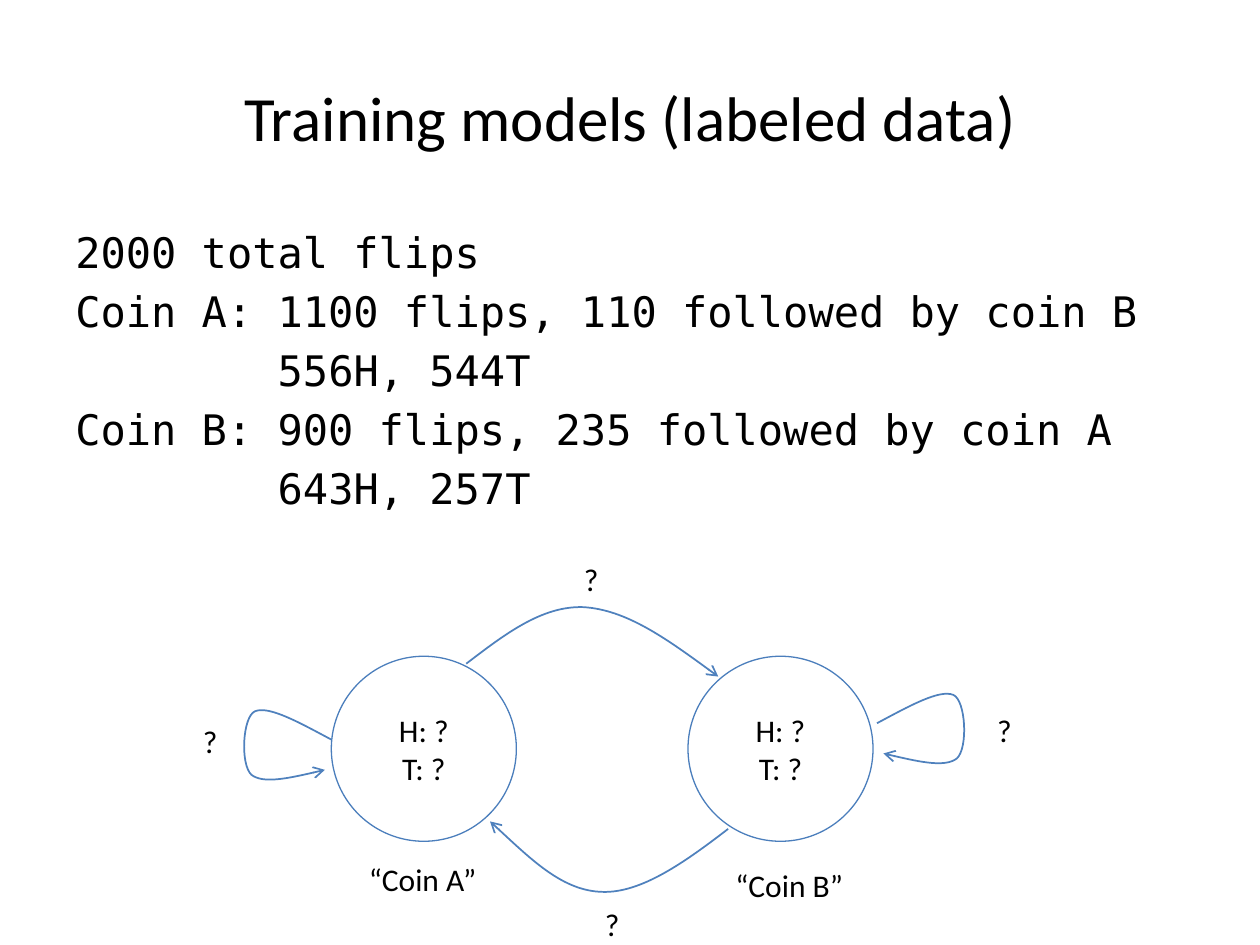
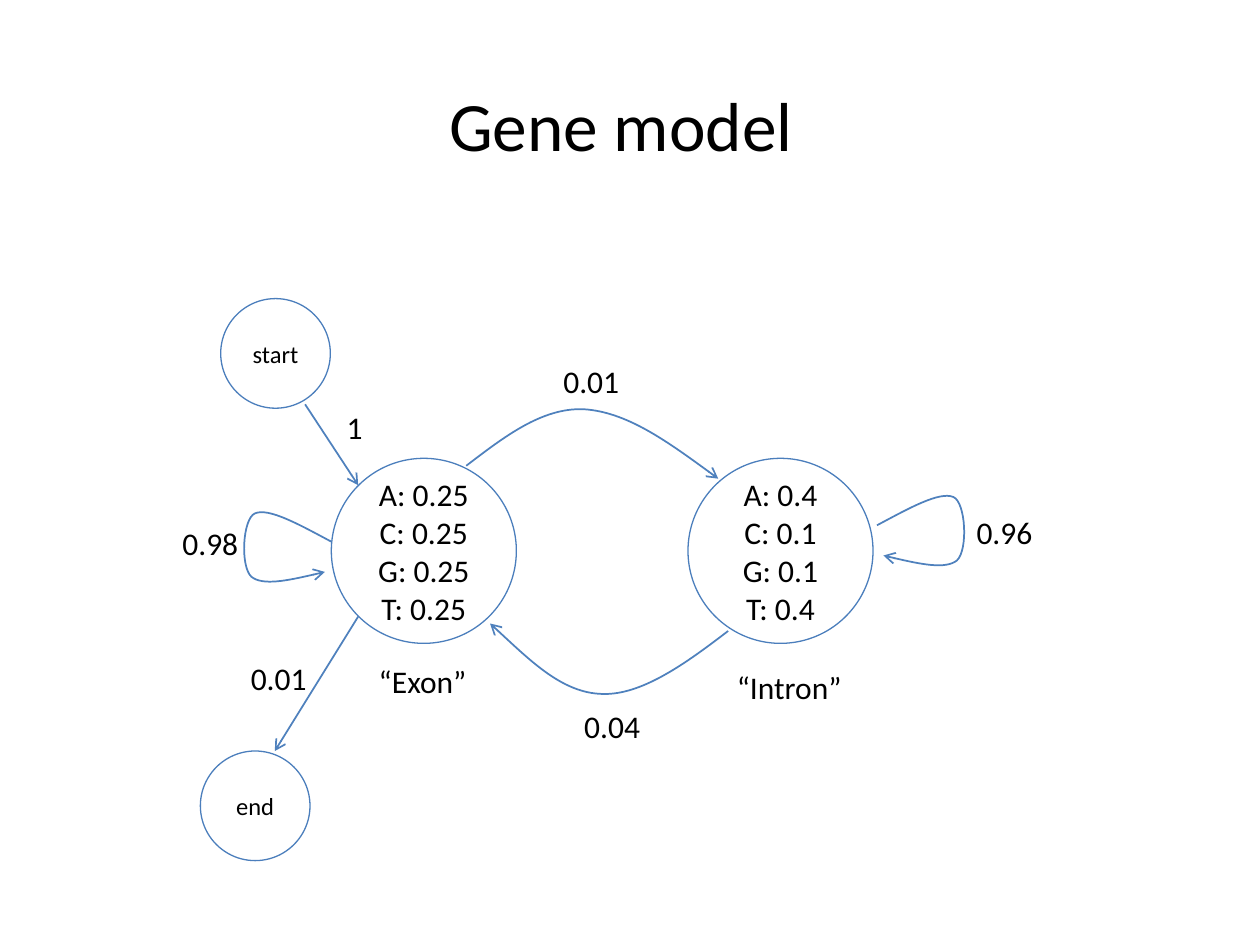
import dataclasses

import lxml.etree
import pptx
import pptx.dml.color
import pptx.enum.shapes
import pptx.enum.text
import pptx.oxml.ns
import pptx.util

Cm = pptx.util.Cm
Pt = pptx.util.Pt
qn = pptx.oxml.ns.qn
ANCHOR = pptx.enum.text.MSO_ANCHOR
ALIGN = pptx.enum.text.PP_ALIGN


@dataclasses.dataclass(frozen=True)
class Theme:
    """Colours, fonts, type sizes and line widths of the deck."""

    ink: str = "000000"
    circle: str = "4B7EBC"
    arrow: str = "4F81BD"
    sans: str = "Calibri"
    mono: str = "DejaVu Sans Mono"
    title: float = 36
    title_large: float = 39.6
    body: float = 24
    label: float = 18
    small: float = 14
    circle_width: float = 0.75
    arrow_width: float = 1


THEME = Theme()
STATE_SIZE = 3.73
TERMINAL_SIZE = 2.21
FORWARD_ARC = [(4.5, 1.14), (5.26, 0.56), (6.02, -0.03), (6.86, 0),
               (7.72, 0.05), (8.64, 0.71), (9.58, 1.4)]
BACKWARD_ARC = [(9.78, 4.47), (8.92, 5.13), (8.03, 5.77), (7.24, 5.74),
                (6.45, 5.72), (5.72, 5.0), (4.98, 4.32)]
SELF_LOOP = [(0, 0), (0.64, -0.34), (1.26, -0.69), (1.54, -0.57), (1.79, -0.46),
             (1.84, 0.5), (1.61, 0.71), (1.38, 0.89), (0.75, 0.76), (0.13, 0.61)]


def rgb(value):
    """Turn a hex string into a colour."""
    return pptx.dml.color.RGBColor.from_string(value)


def write(shape, lines, size=THEME.label, font=THEME.sans, align=ALIGN.CENTER,
          anchor=ANCHOR.MIDDLE, wrap=True, before=0, indents=()):
    """Fill a shape with one paragraph per line."""
    frame = shape.text_frame
    frame.word_wrap = wrap
    frame.vertical_anchor = anchor
    frame.text = "\n".join(lines)
    for number, paragraph in enumerate(frame.paragraphs):
        paragraph.alignment = align
        paragraph.space_before = Pt(before)
        paragraph.font.size = Pt(size)
        paragraph.font.name = font
        paragraph.font.color.rgb = rgb(THEME.ink)
        if number in indents:
            paragraph._p.get_or_add_pPr().set("marL", str(Cm(indents[number])))
    return frame


def add_title(slide, title, left=1.27, top=0.76, **style):
    """Place the slide title."""
    box = slide.shapes.add_textbox(Cm(left), Cm(top), Cm(22.86), Cm(3.18))
    return write(box, [title], **style)


def add_label(slide, label, center, top):
    """Centre a one-line label on a point."""
    width = 0.55 + 0.3 * len(label)
    box = slide.shapes.add_textbox(Cm(center - width / 2), Cm(top), Cm(width), Cm(1.02))
    write(box, [label], anchor=ANCHOR.TOP, wrap=False)


def add_circle(slide, lines, left, top, diameter, size=THEME.label):
    """Draw an outlined circle with centred text."""
    circle = slide.shapes.add_shape(pptx.enum.shapes.MSO_SHAPE.OVAL, Cm(left), Cm(top),
                                    Cm(diameter), Cm(diameter))
    circle.shadow.inherit = False
    circle.fill.background()
    circle.line.color.rgb = rgb(THEME.circle)
    circle.line.width = Pt(THEME.circle_width)
    write(circle, lines, size=size)


def style_arrow(arrow):
    """Colour a line and give its end an open arrowhead."""
    arrow.line.color.rgb = rgb(THEME.arrow)
    arrow.line.width = Pt(THEME.arrow_width)
    outline = arrow.line._get_or_add_ln()
    lxml.etree.SubElement(outline, qn("a:tailEnd"), type="arrow")


def add_curve(slide, points, left, top):
    """Draw an arrow of cubic curves through anchors and control points."""
    start, *rest = [(Cm(left + x), Cm(top + y)) for x, y in points]
    builder = slide.shapes.build_freeform(*start)
    builder.add_line_segments(rest, close=False)
    curve = builder.convert_to_shape()
    curve.shadow.inherit = False
    curve.fill.background()
    style_arrow(curve)
    outline = curve._element.find(".//" + qn("a:path"))
    segments = outline.findall(qn("a:lnTo"))
    for first in range(0, len(segments), 3):
        bezier = lxml.etree.SubElement(outline, qn("a:cubicBezTo"))
        for segment in segments[first:first + 3]:
            bezier.append(segment[0])
            outline.remove(segment)


def add_straight_arrow(slide, start, end, left, top):
    """Draw a straight arrow between two points of the diagram."""
    arrow = slide.shapes.add_connector(
        pptx.enum.shapes.MSO_CONNECTOR.STRAIGHT,
        Cm(left + start[0]), Cm(top + start[1]), Cm(left + end[0]), Cm(top + end[1]))
    style_arrow(arrow)
    lxml.etree.SubElement(arrow._element.spPr, qn("a:effectLst"))


def add_state_pair(slide, left, top, names, emissions, transitions):
    """Draw two states with the transitions between and back to them."""
    for x, lines in zip((1.78, 8.97), emissions):
        add_circle(slide, lines, left + x, top + 0.99, STATE_SIZE)
    for arc in (FORWARD_ARC, BACKWARD_ARC):
        add_curve(slide, arc, left, top)
    for x, y, side in ((12.78, 2.34, 1), (1.78, 2.67, -1)):
        add_curve(slide, [(side * dx, dy) for dx, dy in SELF_LOOP], left + x, top + y)
    spots = [(3.62, 4.98), (11.01, 5.1),
             (-0.66, 2.19), (7.02, -1.07), (15.35, 1.97), (7.44, 5.88)]
    for label, (x, y) in zip([*names, *transitions], spots):
        add_label(slide, label, left + x, top + y)


def add_terminals(slide, left, top):
    """Draw the start and end states around the first state."""
    terminals = [
        ("start", (-0.45, -2.23), (1.25, -0.1), (2.32, 1.53), "1", (2.25, -0.15)),
        ("end", (-0.86, 6.89), (2.32, 4.18), (0.64, 6.89), "0.01", (0.72, 4.91)),
    ]
    for name, corner, start, end, probability, spot in terminals:
        add_circle(slide, [name], left + corner[0], top + corner[1],
                   TERMINAL_SIZE, size=THEME.small)
        add_straight_arrow(slide, start, end, left, top)
        add_label(slide, probability, left + spot[0], top + spot[1])


def add_flip_counts(slide, left, top, width, height):
    """List the counts of the labeled flips."""
    box = slide.shapes.add_textbox(Cm(left), Cm(top), Cm(width), Cm(height))
    counts = ["2000 total flips",
              "Coin A: 1100 flips, 110 followed by coin B",
              "556H, 544T",
              "Coin B: 900 flips, 235 followed by coin A",
              "643H, 257T"]
    write(box, counts, size=THEME.body, font=THEME.mono, align=ALIGN.LEFT,
          anchor=ANCHOR.TOP, before=0.2 * THEME.body, indents={2: 4.08, 4: 4.08})


def build_training_slide(slide):
    """Build the slide on training from labeled data."""
    add_title(slide, "Training models (labeled data)", size=THEME.title)
    add_flip_counts(slide, 1.27, 4.45, 22.86, 12.57)
    add_state_pair(slide, 4.9, 12.24, ["“Coin A”", "“Coin B”"],
                   [["H: ?", "T: ?"]] * 2, "????")


def build_gene_slide(slide):
    """Build the slide on the gene model."""
    title = add_title(slide, "Gene model", left=1.09, top=1.6,
                      size=THEME.title_large, anchor=ANCHOR.TOP)
    title.margin_top = Cm(0.06)
    left, top = 4.9, 8.25
    add_state_pair(slide, left, top, ["“Exon”", "“Intron”"],
                   [["A: 0.25", "C: 0.25", "G: 0.25", "T: 0.25"],
                    ["A: 0.4", "C: 0.1", "G: 0.1", "T: 0.4"]],
                   ["0.98", "0.01", "0.96", "0.04"])
    add_terminals(slide, left, top)


def main():
    """Build and save the deck."""
    deck = pptx.Presentation()
    deck.slide_width, deck.slide_height = Cm(25.4), Cm(19.05)
    for build in (build_training_slide, build_gene_slide):
        build(deck.slides.add_slide(deck.slide_layouts[6]))
    deck.save("out.pptx")


if __name__ == "__main__":
    main()
